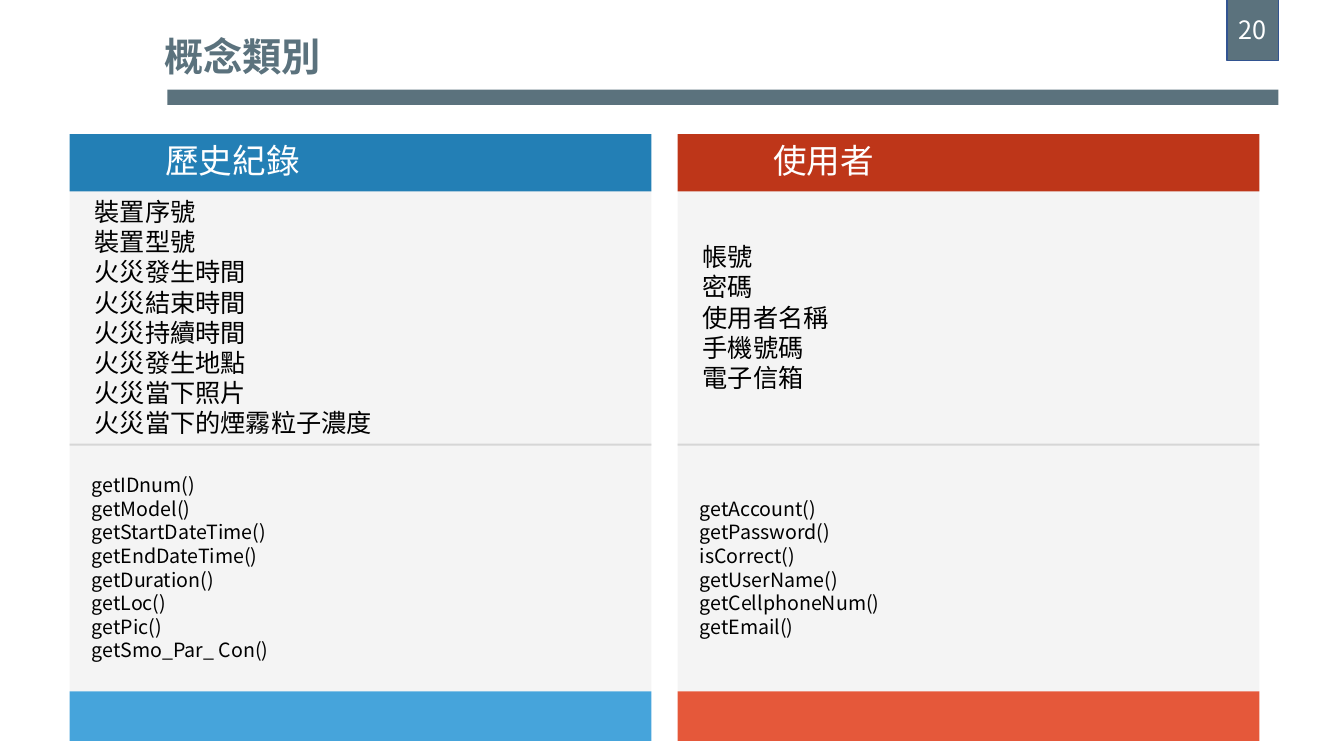
from dataclasses import dataclass

from lxml import etree
from pptx import Presentation
from pptx import util as u
from pptx.dml.color import RGBColor
from pptx.enum import text
from pptx.enum.shapes import MSO_SHAPE
from pptx.oxml.ns import qn


@dataclass(frozen=True)
class Theme:
    font: str = "Noto Sans CJK SC"
    slate: str = "5B727D"
    badge_edge: str = "325491"
    panel: str = "F4F4F4"
    divider: str = "D6D6D6"
    ink: str = "000000"
    white: str = "FFFFFF"
    title_size: int = 28
    heading_size: int = 24
    attribute_size: int = 18
    method_size: int = 14
    leading: float = 1.2


THEME = Theme()

# Grid: two card columns, and the rows that every card shares (inches)
COLUMN_LEFT, COLUMN_STEP, CARD_WIDTH = 0.69, 6.03, 5.77
HEADING_TOP, PANEL_TOP, DIVIDER_TOP, FOOTER_TOP, CARD_BOTTOM = 1.33, 1.89, 4.4, 6.86, 7.35
PADDING = 0.05

# heading, heading colour, footer colour, attributes, methods
CLASS_CARDS = [
    ("歷史紀錄", "237FB5", "46A4DB",
     ["裝置序號", "裝置型號", "火災發生時間", "火災結束時間", "火災持續時間",
      "火災發生地點", "火災當下照片", "火災當下的煙霧粒子濃度"],
     ["getIDnum()", "getModel()", "getStartDateTime()", "getEndDateTime()",
      "getDuration()", "getLoc()", "getPic()", "getSmo_Par_ Con()"]),
    ("使用者", "BE3619", "E5583A",
     ["帳號", "密碼", "使用者名稱", "手機號碼", "電子信箱"],
     ["getAccount()", "getPassword()", "isCorrect()", "getUserName()",
      "getCellphoneNum()", "getEmail()"]),
]


def inches(*lengths):
    return [u.Inches(length) for length in lengths]


def write_lines(frame, lines, size, color, align=text.PP_ALIGN.LEFT, bold=False):
    frame.text = "\n".join(lines)
    for paragraph in frame.paragraphs:
        paragraph.alignment = align
        paragraph.line_spacing = u.Pt(size * THEME.leading)
        for run in paragraph.runs:
            run.font.size = u.Pt(size)
            run.font.bold = bold
            run.font.color.rgb = RGBColor.from_string(color)
            run.font.name = THEME.font
            east_asian = etree.SubElement(run.font._element, qn("a:ea"))
            east_asian.set("typeface", THEME.font)


def add_block(shapes, left, top, width, height, color):
    block = shapes.add_shape(MSO_SHAPE.RECTANGLE, *inches(left, top, width, height))
    block.shadow.inherit = False
    block.fill.solid()
    block.fill.fore_color.rgb = RGBColor.from_string(color)
    block.line.fill.background()
    return block


def add_card_text(shapes, left, top, width, height, lines, size, color, align=text.PP_ALIGN.LEFT):
    frame = shapes.add_textbox(*inches(left, top, width, height)).text_frame
    frame.word_wrap = True
    frame.vertical_anchor = text.MSO_ANCHOR.MIDDLE
    frame.margin_left = frame.margin_right = u.Inches(PADDING)
    frame.margin_top = frame.margin_bottom = u.Inches(PADDING)
    write_lines(frame, lines, size, color, align)


def add_class_card(slide, column, heading, heading_color, footer_color, attributes, methods):
    left = COLUMN_LEFT + column * COLUMN_STEP
    card = slide.shapes.add_group_shape().shapes

    # Panel, heading band and footer band
    bands = [(PANEL_TOP, FOOTER_TOP, THEME.panel),
             (HEADING_TOP, PANEL_TOP + 0.01, heading_color),
             (FOOTER_TOP, CARD_BOTTOM, footer_color),
             (DIVIDER_TOP, DIVIDER_TOP + 0.02, THEME.divider)]
    for top, bottom, color in bands:
        add_block(card, left, top, CARD_WIDTH, bottom - top, color)

    # Class name, attributes and methods
    add_card_text(card, left + 0.9, HEADING_TOP + 0.06, 3.95, 0.39, [heading],
                  THEME.heading_size, THEME.white, text.PP_ALIGN.JUSTIFY)
    add_card_text(card, left + 0.2, PANEL_TOP, CARD_WIDTH, DIVIDER_TOP - PANEL_TOP,
                  attributes, THEME.attribute_size, THEME.ink)
    add_card_text(card, left + 0.17, DIVIDER_TOP, CARD_WIDTH, FOOTER_TOP - DIVIDER_TOP,
                  methods, THEME.method_size, THEME.ink)


def add_title(slide, title):
    frame = slide.shapes.add_textbox(*inches(1.53, 0.27, 1.77, 0.57)).text_frame
    frame.word_wrap = False
    frame.auto_size = text.MSO_AUTO_SIZE.SHAPE_TO_FIT_TEXT
    write_lines(frame, [title], THEME.title_size, THEME.slate, bold=True)


def add_page_badge(slide, number):
    badge = add_block(slide.shapes, 12.17, -0.01, 0.51, 0.61, THEME.slate)
    badge.line.color.rgb = RGBColor.from_string(THEME.badge_edge)
    badge.line.width = u.Pt(1)
    frame = badge.text_frame
    frame.vertical_anchor = text.MSO_ANCHOR.MIDDLE
    write_lines(frame, [number], THEME.attribute_size, THEME.white, text.PP_ALIGN.CENTER)


def main():
    deck = Presentation()
    deck.slide_width, deck.slide_height = inches(13.33, 7.5)
    slide = deck.slides.add_slide(deck.slide_layouts[6])

    # Rule under the title
    add_block(slide.shapes, 1.66, 0.89, 11.02, 0.15, THEME.slate)

    for column, class_card in enumerate(CLASS_CARDS):
        add_class_card(slide, column, *class_card)

    add_title(slide, "概念類別")
    add_page_badge(slide, "20")
    deck.save("out.pptx")


if __name__ == "__main__":
    main()
